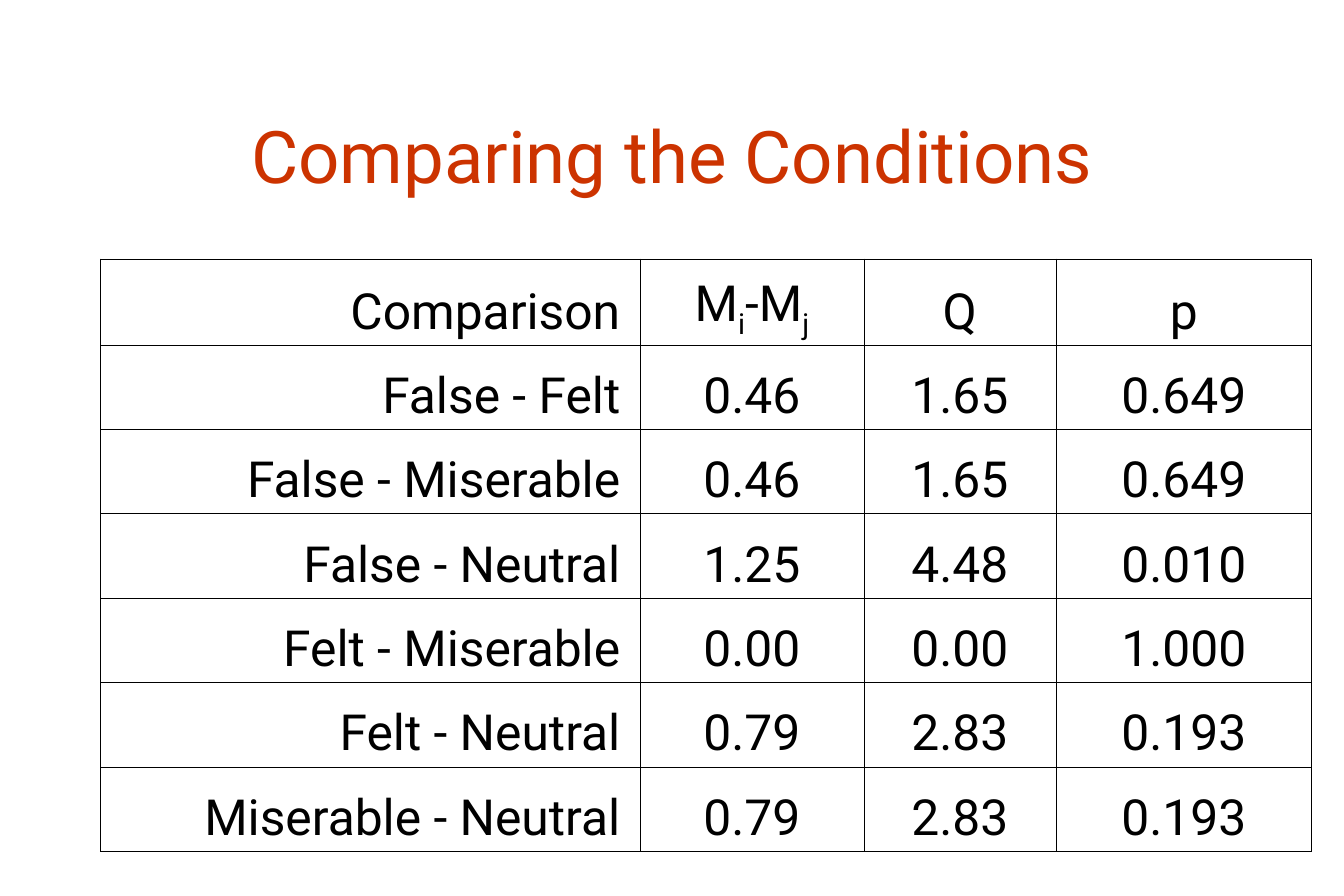
from lxml.etree import SubElement
from pptx import Presentation
from pptx.dml.color import RGBColor
from pptx.enum.text import MSO_ANCHOR, MSO_AUTO_SIZE, PP_ALIGN
from pptx.oxml import parse_xml
from pptx.oxml.ns import nsdecls, qn
from pptx.util import Inches, Pt

GRID_COLUMNS, GRID_ROWS = 18, 12


def color(hex_string):
    return RGBColor.from_string(hex_string)


class ConditionsSlide:
    """Holds the style and the slide; lengths are grid columns and rows."""

    font = "Roboto"
    title_color, ink = "CC3300", "000000"
    title_size, cell_size = 70, 48
    outer_line, inner_line = 1.08, 0.45

    def __init__(self, deck):
        self.column = deck.slide_width / GRID_COLUMNS
        self.row = deck.slide_height / GRID_ROWS
        self.slide = deck.slides.add_slide(deck.slide_layouts[5])

    def place(self, left, top, width, height):
        return (int(left * self.column), int(top * self.row),
                int(width * self.column), int(height * self.row))

    def format(self, paragraph, size, hex_string, align):
        paragraph.alignment = align
        paragraph.font.name = self.font
        paragraph.font.size = Pt(size)
        paragraph.font.color.rgb = color(hex_string)

    def title(self, text, *area):
        heading = self.slide.shapes.title
        heading.left, heading.top, heading.width, heading.height = self.place(*area)
        frame = heading.text_frame
        frame.text = text
        frame.word_wrap = True
        frame.auto_size = MSO_AUTO_SIZE.NONE
        frame.vertical_anchor = MSO_ANCHOR.MIDDLE
        frame.margin_left = frame.margin_right = Inches(0.16)
        frame.margin_top = frame.margin_bottom = Inches(0.08)
        self.format(frame.paragraphs[0], self.title_size, self.title_color, PP_ALIGN.CENTER)

    def table(self, records, left, top, widths, heights):
        area = self.place(left, top, sum(widths), sum(heights))
        grid = self.slide.shapes.add_table(len(records), len(widths), *area).table
        grid.first_row = grid.horz_banding = False
        for grid_column, width in zip(grid.columns, widths):
            grid_column.width = int(width * self.column)
        for grid_row, height in zip(grid.rows, heights):
            grid_row.height = int(height * self.row)
        last_row, last_column = len(records) - 1, len(widths) - 1
        for r, record in enumerate(records):
            for c, content in enumerate(record):
                cell = grid.cell(r, c)
                self.cell_text(cell, content, PP_ALIGN.CENTER if c else PP_ALIGN.RIGHT)
                self.borders(cell, {"lnL": c == 0, "lnR": c == last_column,
                                    "lnT": r == 0, "lnB": r == last_row})

    def cell_text(self, cell, content, align):
        """Text between underscores is set as a subscript."""
        cell.fill.background()
        cell.vertical_anchor = MSO_ANCHOR.BOTTOM
        cell.margin_left = cell.margin_right = Inches(0.26)
        cell.margin_top = cell.margin_bottom = Inches(0.05)
        paragraph = cell.text_frame.paragraphs[0]
        self.format(paragraph, self.cell_size, self.ink, align)
        for i, part in enumerate(content.split("_")):
            if part:
                run = paragraph.add_run()
                run.text = part
                if i % 2:
                    run.font._element.set("baseline", "-25000")

    def borders(self, cell, outer_edges):
        properties = cell._tc.get_or_add_tcPr()
        for position, (edge, is_outer) in enumerate(outer_edges.items()):
            width = Pt(self.outer_line if is_outer else self.inner_line)
            line = parse_xml(f'<a:{edge} {nsdecls("a")} w="{width}"/>')
            fill = SubElement(line, qn("a:solidFill"))
            SubElement(fill, qn("a:srgbClr"), val=self.ink)
            properties.insert(position, line)


def main():
    deck = Presentation()
    deck.slide_width, deck.slide_height = Inches(18), Inches(12)
    conditions = ConditionsSlide(deck)

    # Heading
    conditions.title("Comparing the Conditions", 1.35, 1.07, 15.3, 2)

    # Pairwise comparisons
    comparisons = [
        ("Comparison", "M_i_-M_j_", "Q", "p"),
        ("False - Felt", "0.46", "1.65", "0.649"),
        ("False - Miserable", "0.46", "1.65", "0.649"),
        ("False - Neutral", "1.25", "4.48", "0.010"),
        ("Felt - Miserable", "0.00", "0.00", "1.000"),
        ("Felt - Neutral", "0.79", "2.83", "0.193"),
        ("Miserable - Neutral", "0.79", "2.83", "0.193"),
    ]
    heights = [1.15] + [1.13] * (len(comparisons) - 1)
    conditions.table(comparisons, 1.35, 3.47, [7.22, 3, 2.57, 3.43], heights)

    deck.save("out.pptx")


if __name__ == "__main__":
    main()
